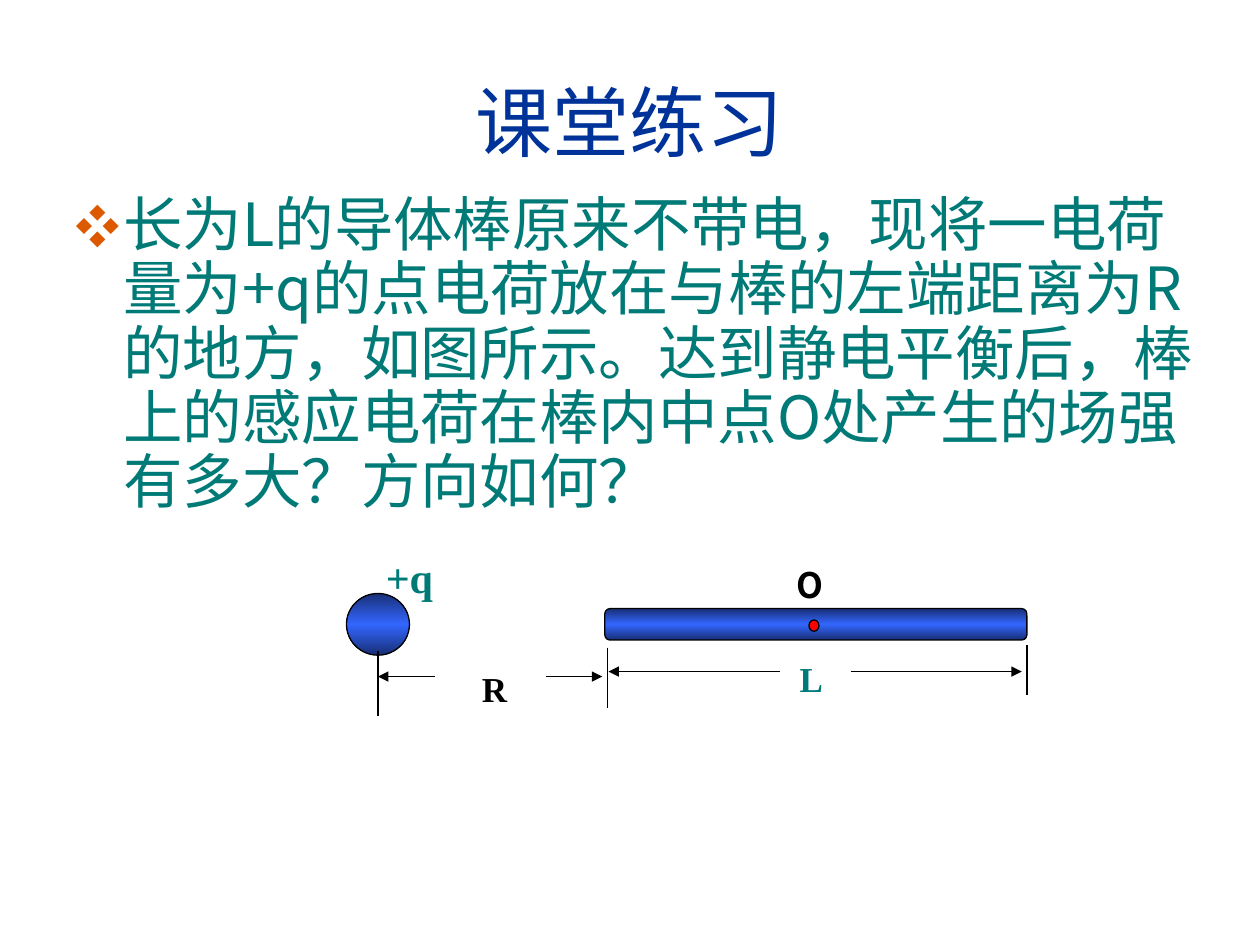
from lxml import etree
from pptx import Presentation
from pptx import util as u
from pptx.dml.color import RGBColor
from pptx.enum import shapes, text
from pptx.oxml import parse_xml
from pptx.oxml.ns import nsdecls, qn

NAVY, TEAL, BLACK, RED, ORANGE = "003399", "007A77", "000000", "FF0000", "DC5900"
BLUE_SHEEN = [(0, "182F76"), (50, "3366FF"), (100, "182F76")]
SANS, SERIF, CJK = "Arial", "Times New Roman", "Noto Sans CJK SC"


def color(value):
    return RGBColor.from_string(value)


def write(frame, words, size, font, ink, bold=False,
          align=text.PP_ALIGN.CENTER, anchor=text.MSO_ANCHOR.TOP):
    frame.word_wrap = True
    frame.auto_size = text.MSO_AUTO_SIZE.NONE
    frame.vertical_anchor = anchor
    para = frame.paragraphs[0]
    para.alignment = align
    span = para.add_run()
    span.text = words
    span.font.size = u.Pt(size)
    span.font.name = font
    span.font.bold = bold
    span.font.color.rgb = color(ink)
    east = etree.SubElement(span.font._element, qn("a:ea"))
    east.set("typeface", CJK)
    return para


def add_bullet(para, char, ink, percent, indent):
    props = para._p.get_or_add_pPr()
    props.set("marL", str(u.Inches(indent)))
    props.set("indent", str(-u.Inches(indent)))
    for xml in (f'<a:buClr {nsdecls("a")}><a:srgbClr val="{ink}"/></a:buClr>',
                f'<a:buSzPct {nsdecls("a")} val="{percent * 1000}"/>',
                f'<a:buFont {nsdecls("a")} typeface="{CJK}"/>',
                f'<a:buChar {nsdecls("a")} char="{char}"/>'):
        props.append(parse_xml(xml))


class Sketch:
    """Holds the line style and the current page."""

    line_color, line_width = BLACK, 0.75

    def __init__(self, page):
        self.page = page

    def outline(self, line):
        line.color.rgb = color(self.line_color)
        line.width = u.Pt(self.line_width)

    def place(self, holder, left, top, width, height):
        holder.left, holder.top = u.Inches(left), u.Inches(top)
        holder.width, holder.height = u.Inches(width), u.Inches(height)
        return holder.text_frame

    def shape(self, kind, left, top, width, height, fill):
        shape = self.page.shapes.add_shape(
            kind, *map(u.Inches, (left, top, width, height)))
        shape.shadow.inherit = False
        if isinstance(fill, str):
            shape.fill.solid()
            shape.fill.fore_color.rgb = color(fill)
        else:
            stops = "".join(f'<a:gs pos="{pos * 1000}"><a:srgbClr val="{ink}"/></a:gs>'
                            for pos, ink in fill)
            geometry = shape._element.spPr.find(qn("a:prstGeom"))
            geometry.addnext(parse_xml(
                f'<a:gradFill {nsdecls("a")}><a:gsLst>{stops}</a:gsLst>'
                '<a:lin ang="5400000" scaled="0"/></a:gradFill>'))
        self.outline(shape.line)
        return shape

    def line(self, x1, y1, x2, y2, arrow=False):
        line = self.page.shapes.add_connector(
            shapes.MSO_CONNECTOR.STRAIGHT, *map(u.Inches, (x1, y1, x2, y2)))
        self.outline(line.line)
        if arrow:
            etree.SubElement(line.line._get_or_add_ln(), qn("a:tailEnd")).set("type", "triangle")
        etree.SubElement(line._element.spPr, qn("a:effectLst"))

    def label(self, words, left, top, width, height, **style):
        box = self.page.shapes.add_textbox(*map(u.Inches, (left, top, width, height)))
        write(box.text_frame, words, bold=True, **style)


def main():
    deck = Presentation()
    deck.slide_width, deck.slide_height = u.Inches(10), u.Inches(7.5)
    page = deck.slides.add_slide(deck.slide_layouts[1])
    sketch = Sketch(page)

    # Title and question
    title = sketch.place(page.shapes.title, 0.33, 0.33, 9.34, 1.25)
    write(title, "课堂练习", 44, SANS, NAVY, anchor=text.MSO_ANCHOR.MIDDLE)
    body = sketch.place(page.placeholders[1], 0.5, 1.5, 9.17, 2.58)
    question = write(
        body,
        "长为L的导体棒原来不带电，现将一电荷量为+q的点电荷放在与棒的左端距离为R的地方，"
        "如图所示。达到静电平衡后，棒上的感应电荷在棒内中点O处产生的场强有多大？方向如何？",
        34, CJK, TEAL, align=text.PP_ALIGN.LEFT)
    question.line_spacing = 0.9
    question.space_before = u.Pt(0)
    add_bullet(question, "❖", ORANGE, 75, 0.38)

    # Rod with its midpoint, and the point charge
    kinds = shapes.MSO_SHAPE
    rod = sketch.shape(kinds.ROUNDED_RECTANGLE, 4.8, 4.83, 3.35, 0.25, BLUE_SHEEN)
    rod.adjustments[0] = 0.167
    sketch.shape(kinds.OVAL, 6.42, 4.92, 0.08, 0.09, RED)
    sketch.shape(kinds.OVAL, 2.75, 4.71, 0.5, 0.49, BLUE_SHEEN)

    # Extension lines
    for x, top, bottom in ((3, 5.17, 5.68), (4.82, 5.14, 5.62), (8.15, 5.12, 5.52)):
        sketch.line(x, top, x, bottom)

    # Dimension arrows for R and L
    for start, end, y in ((3.45, 3, 5.37), (4.33, 4.78, 5.37),
                          (6.19, 4.83, 5.33), (6.75, 8.11, 5.33)):
        sketch.line(start, y, end, y, arrow=True)

    # Labels
    sketch.label("R", 3.42, 5.25, 1.01, 0.43, size=20, font=SERIF, ink=BLACK)
    sketch.label("L", 5.92, 5.17, 1.04, 0.43, size=20, font=SERIF, ink=TEAL)
    sketch.label("O", 5.92, 4.42, 1.01, 0.43, size=20, font=CJK, ink=BLACK)
    sketch.label("+q", 2.75, 4.33, 1, 0.5, size=24, font=SERIF, ink=TEAL)

    deck.save("out.pptx")


if __name__ == "__main__":
    main()
